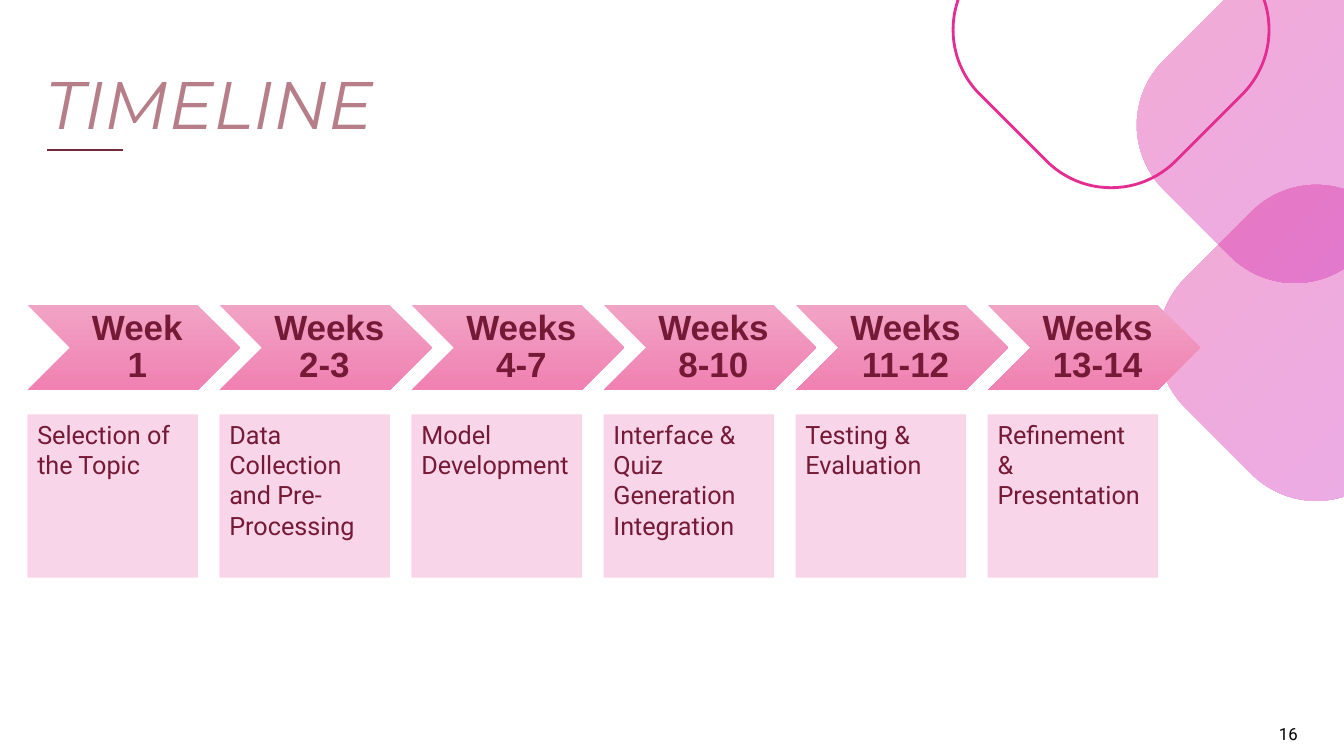
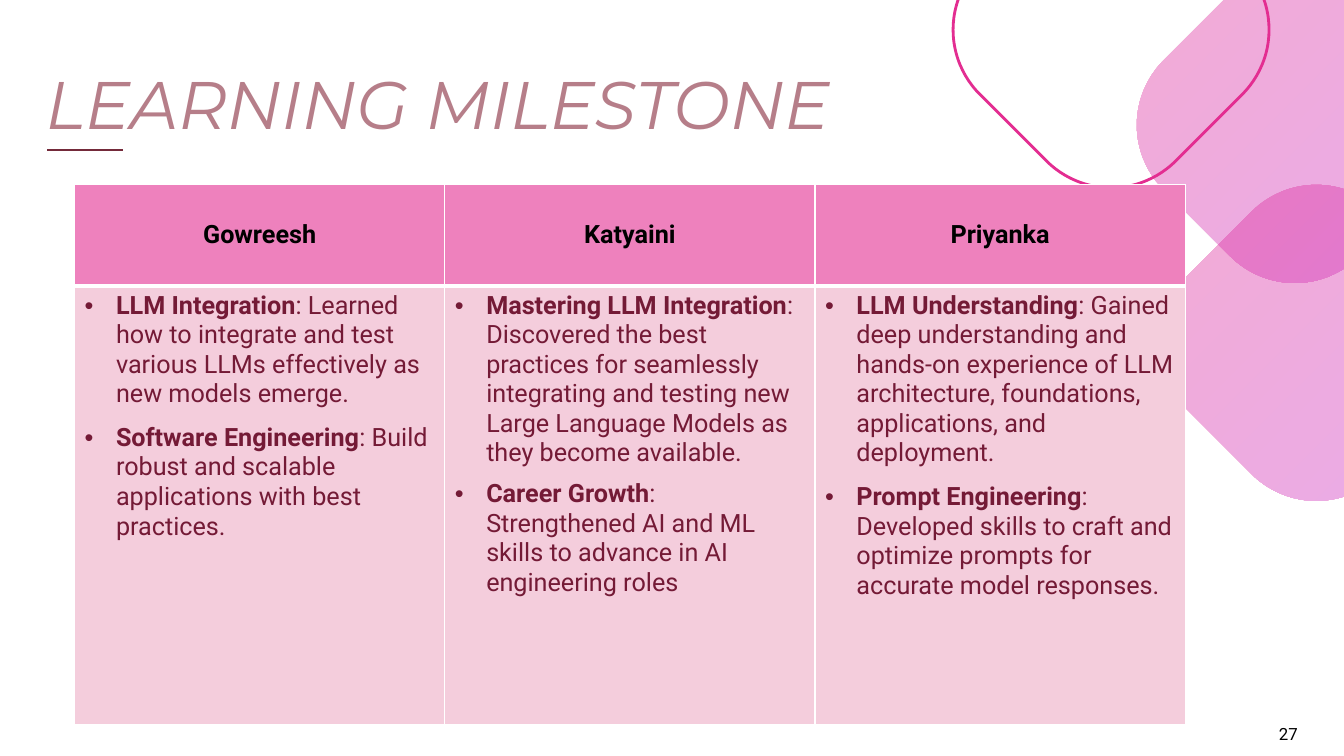
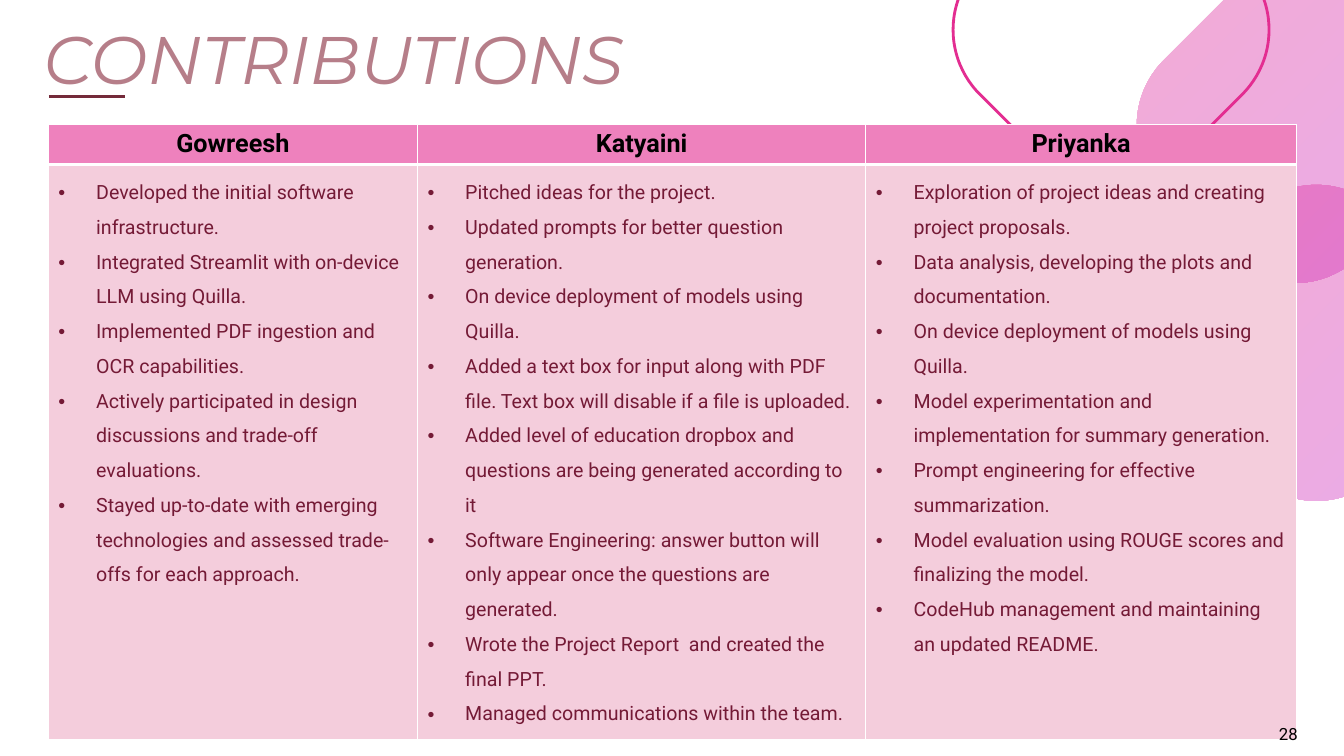
from lxml import etree
from pptx import Presentation
from pptx.dml.color import RGBColor
from pptx.enum import shapes, text
from pptx.oxml import ns
from pptx.util import Cm, Pt

COLORS = {
    "title": "B67E89", "rule": "742A3A", "ink": "741A36", "black": "000000",
    "white": "FFFFFF", "pink": "E32D91", "purple": "C830CC",
    "chevron_top": "F1A3C5", "chevron_bottom": "F081B2", "card": "F9D5E9",
    "header": "EE81BD", "body": "F4CDDC",
}
PEOPLE = ["Gowreesh", "Katyaini", "Priyanka"]
WEEKS = [
    ("Week 1", "Selection of the Topic"),
    ("Weeks 2-3 ", "Data Collection and Pre- Processing"),
    ("Weeks 4-7", "Model Development"),
    ("Weeks 8-10", "Interface & Quiz Generation Integration"),
    ("Weeks 11-12", "Testing & Evaluation"),
    ("Weeks 13-14", "Refinement\n& Presentation"),
]
MILESTONES = [
    ["LLM Integration: Learned how to integrate and test various LLMs effectively as new models emerge.",
     "Software Engineering: Build robust and scalable applications with best practices."],
    ["Mastering LLM Integration: Discovered the best practices for seamlessly integrating and testing "
     "new Large Language Models as they become available.",
     "Career Growth: Strengthened AI and ML skills to advance in AI engineering roles"],
    ["LLM Understanding: Gained deep understanding and hands-on experience of LLM architecture, "
     "foundations, applications, and deployment.",
     "Prompt Engineering: Developed skills to craft and optimize prompts for accurate model responses."],
]
CONTRIBUTIONS = [
    ["Developed the initial software infrastructure.",
     "Integrated Streamlit with on-device LLM using Quilla.",
     "Implemented PDF ingestion and OCR capabilities.",
     "Actively participated in design discussions and trade-off evaluations.",
     "Stayed up-to-date with emerging technologies and assessed trade-offs for each approach."],
    ["Pitched ideas for the project.",
     "Updated prompts for better question generation.",
     "On device deployment of models using Quilla.",
     "Added a text box for input along with PDF file. Text box will disable if a file is uploaded.",
     "Added level of education dropbox and questions are being generated according to it",
     "Software Engineering: answer button will only appear once the questions are generated.",
     "Wrote the Project Report  and created the final PPT.",
     "Managed communications within the team."],
    ["Exploration of project ideas and creating project proposals.",
     "Data analysis, developing the plots and documentation.",
     "On device deployment of models using Quilla.",
     "Model experimentation and implementation for summary generation.",
     "Prompt engineering for effective summarization.",
     "Model evaluation using ROUGE scores and finalizing the model.",
     "CodeHub management and maintaining an updated README."],
]


def rgb(name):
    """Return the named colour."""
    return RGBColor.from_string(COLORS[name])


def style(span, size, color, font="Roboto", bold=False, italic=False):
    """Format one run."""
    span.font.size, span.font.name = Pt(size), font
    span.font.bold, span.font.italic = bold, italic
    span.font.color.rgb = rgb(color)


def write(frame, words, *look, align=text.PP_ALIGN.LEFT, spacing=1.0, **more):
    """Fill a text frame and format all of its runs."""
    frame.word_wrap = True
    frame.text = words
    for para in frame.paragraphs:
        para.alignment, para.line_spacing = align, spacing
        for span in para.runs:
            style(span, *look, **more)


def set_margins(frame, left, rest):
    """Set the inner margins of a text frame."""
    frame.margin_left = Cm(left)
    frame.margin_top = frame.margin_right = frame.margin_bottom = Cm(rest)


def add_box(page, kind, left, top, width, height):
    """Add a preset shape without shadow or outline."""
    box = page.shapes.add_shape(kind, Cm(left), Cm(top), Cm(width), Cm(height))
    box.shadow.inherit = False
    box.line.fill.background()
    return box


def fill_gradient(box, names, angle):
    """Fill a shape with a two-colour gradient, its angle counted clockwise."""
    box.fill.gradient()
    box.fill.gradient_angle = (360 - angle) % 360
    for stop, name, position in zip(box.fill.gradient_stops, names, (0, 1)):
        stop.color.rgb, stop.position = rgb(name), position


def add_diamond(page, center_x, center_y, filled):
    """Add a rounded diamond around a centre, tinted or only outlined."""
    side = 6.98
    diamond = add_box(page, shapes.MSO_SHAPE.ROUNDED_RECTANGLE,
                      center_x - side / 2, center_y - side / 2, side, side)
    diamond.adjustments[0] = 0.33
    diamond.rotation = 45
    if filled:
        fill_gradient(diamond, ("pink", "purple"), 0)
        for tint in diamond.element.spPr.iter(ns.qn("a:srgbClr")):
            etree.SubElement(tint, ns.qn("a:alpha"), val="40000")
    else:
        diamond.fill.background()
        diamond.line.color.rgb, diamond.line.width = rgb("pink"), Pt(2)


def add_title(page, words, left, top, rule_left, rule_top):
    """Add the title and the short rule below it."""
    rule = page.shapes.add_connector(
        shapes.MSO_CONNECTOR.STRAIGHT, Cm(left + rule_left), Cm(top + rule_top),
        Cm(left + rule_left + 1.91), Cm(top + rule_top))
    rule.line.color.rgb, rule.line.width = rgb("rule"), Pt(2)
    etree.SubElement(rule.element.spPr, ns.qn("a:effectLst"))
    box = page.shapes.add_textbox(Cm(left), Cm(top), Cm(22), Cm(2.92))
    set_margins(box.text_frame, 0.46, 0.46)
    write(box.text_frame, words, 48, "title", "Montserrat", italic=True, spacing=0.9)


def add_page(deck, title, left=0.69, top=1.35, rule_left=0.5, rule_top=2.43):
    """Add a page with its title and diamonds."""
    page = deck.slides.add_slide(deck.slide_layouts[6])
    add_title(page, title, left, top, rule_left, rule_top)
    for center_x, center_y, filled in [(32.63, 3.15, True), (28, 0.75, False), (33.17, 8.64, True)]:
        add_diamond(page, center_x, center_y, filled)
    return page


def add_number(page, number):
    """Add the page number in front of everything else."""
    box = page.shapes.add_textbox(Cm(31.98), Cm(18.11), Cm(1.6), Cm(0.77))
    write(box.text_frame, str(number), 12, "black")


def add_timeline(page, left, top, step=4.84):
    """Add a row of chevrons, each with a card below."""
    for index, (week, task) in enumerate(WEEKS):
        x = left + index * step
        chevron = add_box(page, shapes.MSO_SHAPE.CHEVRON, x, top, 5.36, 2.16)
        fill_gradient(chevron, ("chevron_top", "chevron_bottom"), 90)
        set_margins(chevron.text_frame, 0.28, 0.1)
        chevron.text_frame.vertical_anchor = text.MSO_ANCHOR.MIDDLE
        write(chevron.text_frame, week, 25, "ink", "Arial", bold=True,
              align=text.PP_ALIGN.CENTER, spacing=0.9)
        card = add_box(page, shapes.MSO_SHAPE.RECTANGLE, x, top + 2.76, 4.3, 4.12)
        card.fill.solid()
        card.fill.fore_color.rgb = rgb("card")
        card.text_frame.vertical_anchor = text.MSO_ANCHOR.TOP
        write(card.text_frame, task, 18, "ink")


def paint_cell(cell, color, top, bottom):
    """Give a cell white borders and a plain fill."""
    props = cell._tc.get_or_add_tcPr()
    for side, width in zip("LRTB", (1, 1, top, bottom)):
        border = etree.SubElement(props, ns.qn("a:ln" + side), w=str(Pt(width)))
        solid = etree.SubElement(border, ns.qn("a:solidFill"))
        etree.SubElement(solid, ns.qn("a:srgbClr"), val=COLORS["white"])
    cell.fill.solid()
    cell.fill.fore_color.rgb = rgb(color)


def add_bullet(para, words, size, indent, bold_lead):
    """Write one bulleted paragraph, its lead in bold if asked."""
    lead, colon, rest = words.partition(":") if bold_lead else ("", "", words)
    for part, bold in ((lead, True), (colon + rest, False)):
        if part:
            span = para.add_run()
            span.text = part
            style(span, size, "ink", bold=bold)
    props = para._p.get_or_add_pPr()
    props.set("marL", str(Cm(indent)))
    props.set("indent", str(-Cm(indent)))
    etree.SubElement(props, ns.qn("a:buFont"), typeface="Arial")
    etree.SubElement(props, ns.qn("a:buChar"), char="•")


def add_people_table(page, left, top, widths, heights, columns, size, indent,
                     spacing=1.0, gaps=(0, 0, 0), bold_lead=False):
    """Add a table with one column of bullets per person."""
    table = page.shapes.add_table(2, len(widths), Cm(left), Cm(top),
                                  Cm(sum(widths)), Cm(sum(heights))).table
    table.horz_banding = False
    for row, height in zip(table.rows, heights):
        row.height = Cm(height)
    for index, (person, items) in enumerate(zip(PEOPLE, columns)):
        table.columns[index].width = Cm(widths[index])
        header, body = table.cell(0, index), table.cell(1, index)
        paint_cell(header, "header", 1, 3)
        header.vertical_anchor = text.MSO_ANCHOR.MIDDLE
        write(header.text_frame, person, 18, "black", bold=True, align=text.PP_ALIGN.CENTER)
        paint_cell(body, "body", 3, 1)
        frame = body.text_frame
        for order, words in enumerate(items):
            para = frame.add_paragraph() if order else frame.paragraphs[0]
            para.line_spacing = spacing
            para.space_before = Pt(gaps[index] if order else 0)
            add_bullet(para, words, size, indent, bold_lead)


def main():
    """Build and save the deck."""
    deck = Presentation()
    deck.slide_width, deck.slide_height = Cm(33.87), Cm(19.05)
    timeline = add_page(deck, "TIMELINE")
    add_timeline(timeline, 0.69, 7.68)
    milestones = add_page(deck, "LEARNING MILESTONE")
    add_people_table(milestones, 1.88, 4.65, [9.33] * 3, [2.55, 11.07], MILESTONES,
                     18, 0.79, gaps=(10, 8, 10), bold_lead=True)
    contributions = add_page(deck, "CONTRIBUTIONS", 0.64, 0.2, 0.59, 2.24)
    add_people_table(contributions, 1.22, 3.13, [9.3, 11.3, 10.85], [0.97, 13.06], CONTRIBUTIONS,
                     14, 0.95, spacing=1.5)
    for page, number in ((timeline, 16), (milestones, 27), (contributions, 28)):
        add_number(page, number)
    deck.save("out.pptx")


if __name__ == "__main__":
    main()
